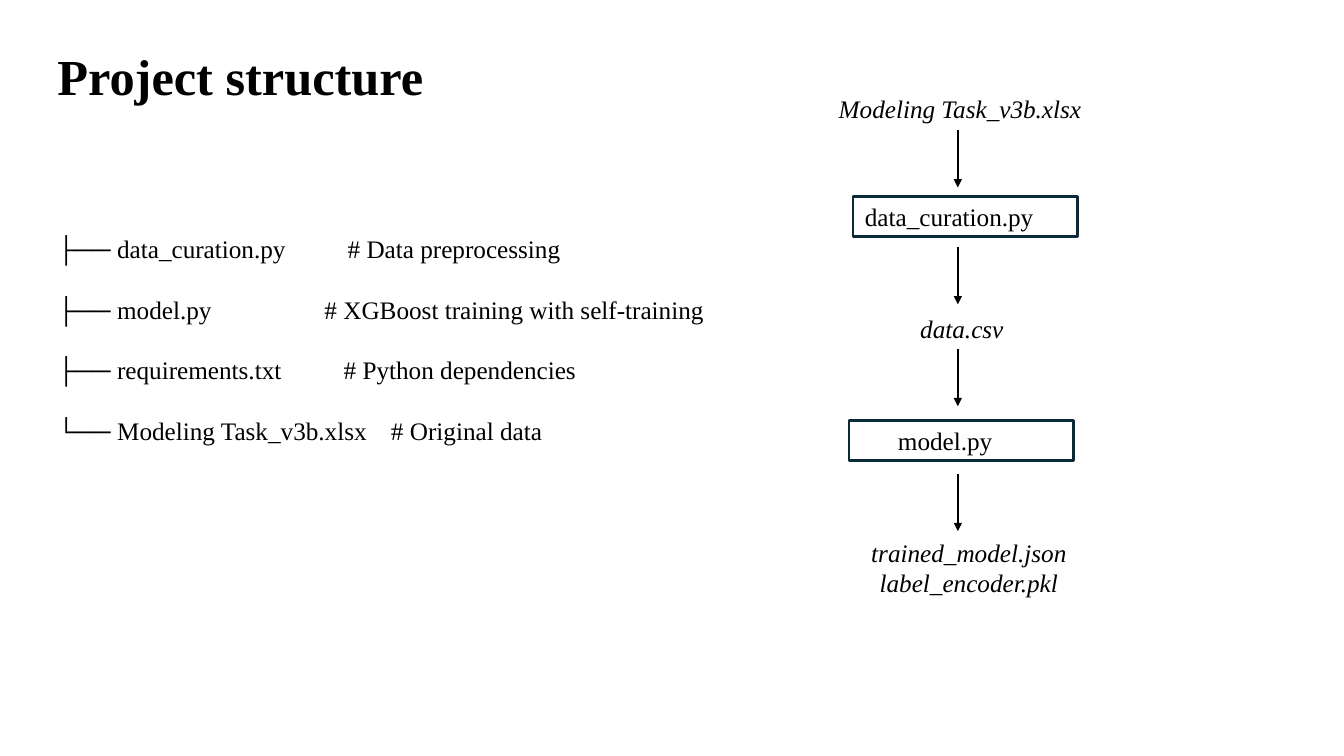
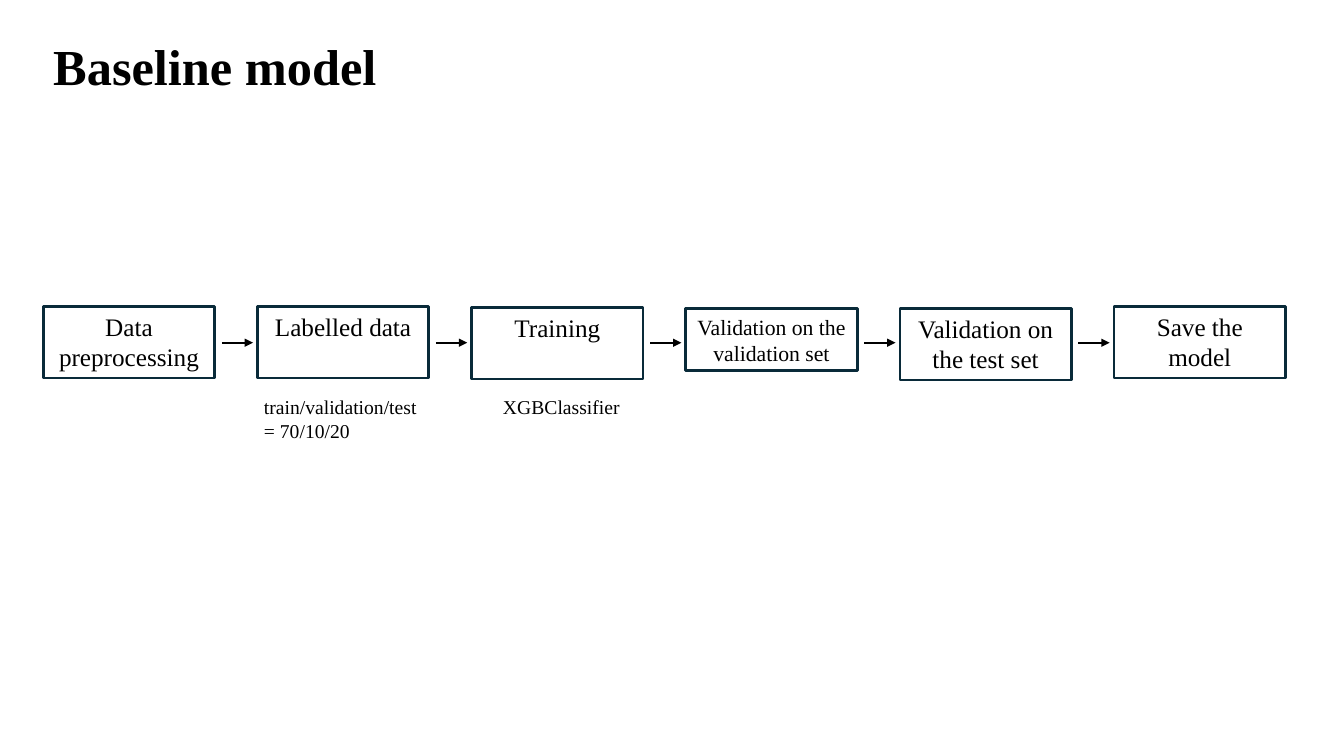
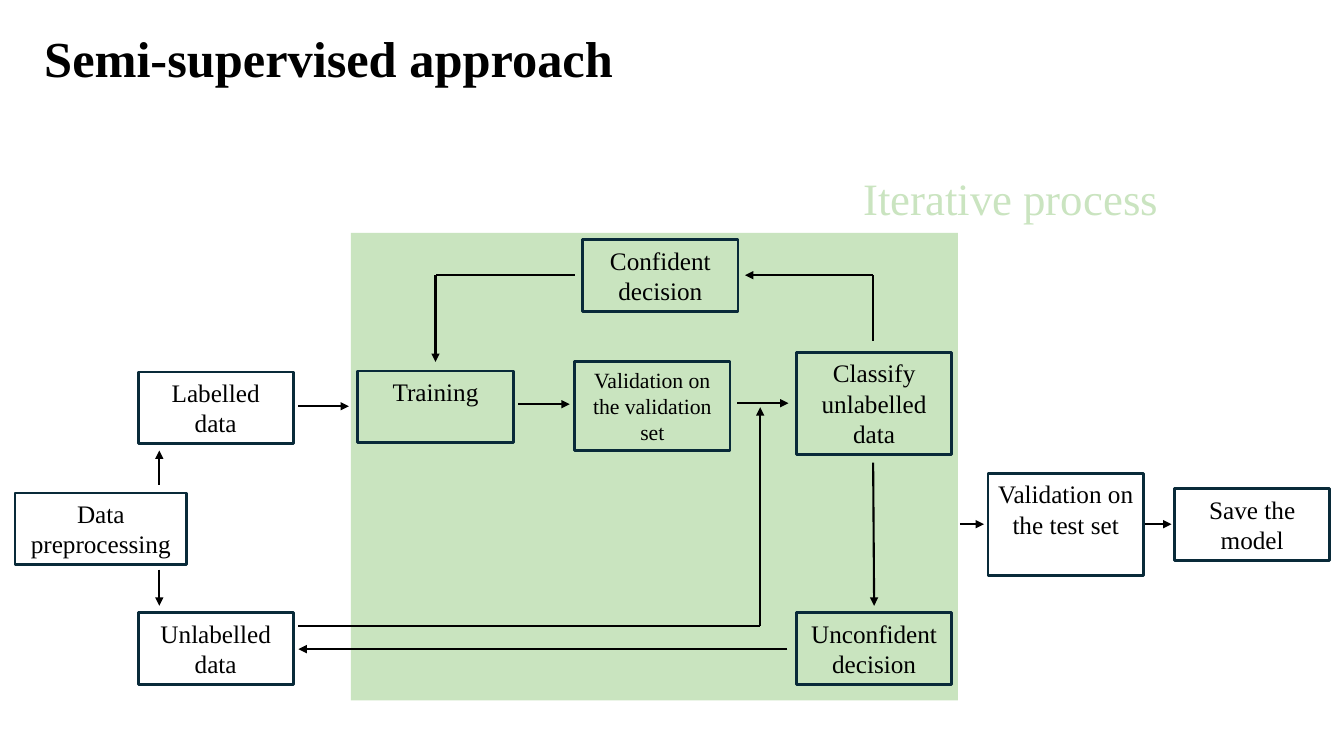
from itertools import pairwise

from lxml import etree
from pptx import Presentation
from pptx.dml.color import RGBColor
from pptx.enum.shapes import MSO_CONNECTOR, MSO_SHAPE
from pptx.enum.text import MSO_ANCHOR, PP_ALIGN
from pptx.oxml.ns import qn
from pptx.util import Inches, Pt

LEFT, CENTER = PP_ALIGN.LEFT, PP_ALIGN.CENTER
TOP = MSO_ANCHOR.TOP
RECTANGLE = MSO_SHAPE.RECTANGLE
STRAIGHT = MSO_CONNECTOR.STRAIGHT

FONT = "Times New Roman"
BLACK, NAVY, GREEN, PALE_GREEN = "000000", "092A39", "4EA72E", "CAE4C0"
GREEN_OPACITY = 30
BODY, SMALL, NOTE = 18, 15.5, 14

# Project structure: (entry, comment, tab stop of the comment)
FILE_TREE = [
    ("├── data_curation.py", "# Data preprocessing", 2.88),
    ("├── model.py", "# XGBoost training with self-training", 2.65),
    ("├── requirements.txt", "# Python dependencies", 2.84),
    ("└── Modeling Task_v3b.xlsx", "# Original data", 3.31),
]
SCRIPTS = [
    ("data_curation.py", (8.46, 1.95, 2.23, 0.4)),
    ("model.py", (8.42, 4.17, 2.23, 0.4)),
]
SCRIPT_INSETS = {"margin_left": 0.05, "margin_right": 0.37}
DATA_FILES = [
    ("Modeling Task_v3b.xlsx", (8.22, 0.88, 2.91, 0.4), LEFT),
    ("data.csv", (8.39, 3.06, 2.3, 0.4), CENTER),
    ("trained_model.json\nlabel_encoder.pkl", (8.46, 5.28, 2.3, 0.71), CENTER),
]
FILE_ARROW_X, FILE_ARROW_LENGTH = 9.5, 0.57
FILE_ARROW_TOPS = [1.29, 2.45, 3.46, 4.7]

# Baseline model: (text, top, height, text size)
BASELINE_STEPS = [
    ("Data preprocessing", 3.04, 0.71, BODY),
    ("Labelled data", 3.04, 0.71, BODY),
    ("Training", 3.05, 0.71, BODY),
    ("Validation on the validation set", 3.06, 0.62, SMALL),
    ("Validation on the test set", 3.06, 0.71, BODY),
    ("Save the model", 3.04, 0.71, BODY),
]
FIRST_STEP, LAST_STEP, STEP_WIDTH = 0.43, 11.05, 1.7
STEP_ARROW_Y, STEP_ARROW_GAP, STEP_ARROW_LENGTH = 3.4, 0.07, 0.31
BASELINE_NOTES = [
    ("train/validation/test = 70/10/20", (2.52, 3.87, 1.77, 0.57)),
    ("XGBClassifier", (4.89, 3.87, 1.49, 0.34)),
]

# Semi-supervised approach: (text, left, top, width, height, text size)
LOOP_AREA = (3.48, 2.31, 6.02, 4.64)
NODE_WIDTH = 1.54
NODES = [
    ("Data preprocessing", 0.15, 4.89, STEP_WIDTH, 0.71, BODY),
    ("Labelled data", 1.37, 3.69, NODE_WIDTH, 0.71, BODY),
    ("Unlabelled data", 1.37, 6.08, NODE_WIDTH, 0.71, BODY),
    ("Training", 3.55, 3.68, NODE_WIDTH, 0.71, BODY),
    ("Classify unlabelled data", 7.9, 3.5, NODE_WIDTH, 1.01, BODY),
    ("Validation on the validation set", 5.7, 3.59, NODE_WIDTH, 0.88, SMALL),
    ("Unconfident decision", 7.9, 6.08, NODE_WIDTH, 0.71, BODY),
    ("Confident decision", 5.78, 2.38, NODE_WIDTH, 0.71, BODY),
    ("Validation on the test set", 9.8, 4.7, NODE_WIDTH, 1.01, BODY),
    ("Save the model", 11.65, 4.85, NODE_WIDTH, 0.71, BODY),
]
ROUTES = [
    [(2.96, 4.03), (3.46, 4.03)],
    [(5.14, 4.01), (5.65, 4.01)],
    [(7.31, 4), (7.82, 4)],
    [(8.66, 4.59), (8.67, 6.01)],
    [(8.66, 3.38), (8.66, 2.73), (7.39, 2.73)],
    [(5.7, 2.73), (4.32, 2.73), (4.32, 3.59)],
    [(7.81, 6.44), (2.96, 6.44)],
    [(1.58, 4.81), (1.58, 4.47)],
    [(1.58, 5.65), (1.58, 6.01)],
    [(9.52, 5.2), (9.76, 5.2)],
    [(11.36, 5.2), (11.62, 5.2)],
    [(2.96, 6.21), (7.54, 6.21), (7.54, 4.04)],
]


def color(value):
    return RGBColor.from_string(value)


def write(frame, text, size=BODY, align=LEFT, ink=BLACK, para_format=None, **font_format):
    """Fill a text frame, one paragraph per line of text."""
    frame.word_wrap = True
    frame.vertical_anchor = TOP
    for index, line in enumerate(text.split("\n")):
        para = frame.add_paragraph() if index else frame.paragraphs[0]
        for name, value in {"alignment": align, **(para_format or {})}.items():
            setattr(para, name, value)
        span = para.add_run()
        span.text = line
        span.font.color.rgb = color(ink)
        for name, value in {"name": FONT, "size": Pt(size), **font_format}.items():
            setattr(span.font, name, value)


def add_text(page, text, place, **text_format):
    box = page.shapes.add_textbox(*map(Inches, place))
    write(box.text_frame, text, **text_format)
    return box


def add_rectangle(page, place):
    box = page.shapes.add_shape(RECTANGLE, *map(Inches, place))
    box.shadow.inherit = False
    return box


def add_step(page, text, place, size=BODY, insets=None):
    box = add_rectangle(page, place)
    box.fill.background()
    box.line.color.rgb = color(NAVY)
    box.line.width = Pt(2)
    for name, value in (insets or {}).items():
        setattr(box.text_frame, name, Inches(value))
    write(box.text_frame, text, size, CENTER)


def add_route(page, points):
    """Draw straight segments through the points, with an arrowhead at the last."""
    for start, end in pairwise(points):
        line = page.shapes.add_connector(STRAIGHT, *map(Inches, start + end))
        line.line.color.rgb = color(BLACK)
        line.line.width = Pt(1.5)
        if end == points[-1]:
            etree.SubElement(line.line._get_or_add_ln(), qn("a:tailEnd"), type="triangle")
        etree.SubElement(line._element.spPr, qn("a:effectLst"))


def add_page(deck, title, place):
    page = deck.slides.add_slide(deck.slide_layouts[6])
    add_text(page, title, place, size=36, bold=True,
             para_format={"line_spacing": 1.07, "space_after": Pt(8)})
    return page


def build_structure(deck):
    page = add_page(deck, "Project structure", (0.47, 0.36, 6.74, 0.72))
    tree_text = "\n".join(f"{entry}\t{comment}" for entry, comment, _ in FILE_TREE)
    tree = add_text(page, tree_text, (0.47, 1.97, 7.16, 2.43), para_format={"line_spacing": 2.0})
    for para, (_, _, stop) in zip(tree.text_frame.paragraphs, FILE_TREE):
        tabs = etree.SubElement(para._p.get_or_add_pPr(), qn("a:tabLst"))
        etree.SubElement(tabs, qn("a:tab"), pos=str(Inches(stop)), algn="l")
    for text, place in SCRIPTS:
        add_step(page, text, place, insets=SCRIPT_INSETS)
    for text, place, align in DATA_FILES:
        add_text(page, text, place, align=align, italic=True)
    for top in FILE_ARROW_TOPS:
        add_route(page, [(FILE_ARROW_X, top), (FILE_ARROW_X, top + FILE_ARROW_LENGTH)])


def build_baseline(deck):
    page = add_page(deck, "Baseline model", (0.43, 0.26, 5.1, 0.72))
    pitch = (LAST_STEP - FIRST_STEP) / (len(BASELINE_STEPS) - 1)
    for index, (text, top, height, size) in enumerate(BASELINE_STEPS):
        left = FIRST_STEP + index * pitch
        add_step(page, text, (left, top, STEP_WIDTH, height), size)
        if index < len(BASELINE_STEPS) - 1:
            start = left + STEP_WIDTH + STEP_ARROW_GAP
            add_route(page, [(start, STEP_ARROW_Y), (start + STEP_ARROW_LENGTH, STEP_ARROW_Y)])
    for text, place in BASELINE_NOTES:
        add_text(page, text, place, size=NOTE)


def build_semi_supervised(deck):
    page = add_page(deck, "Semi-supervised approach", (0.34, 0.18, 6.29, 0.71))
    area = add_rectangle(page, LOOP_AREA)
    area.fill.solid()
    area.fill.fore_color.rgb = color(GREEN)
    area.line.fill.background()
    tint = area._element.spPr.find(".//" + qn("a:srgbClr"))
    etree.SubElement(tint, qn("a:alpha"), val=str(GREEN_OPACITY * 1000))
    for text, *place, size in NODES:
        add_step(page, text, place, size)
    for points in ROUTES:
        add_route(page, points)
    add_text(page, "Iterative process", (7.86, 1.64, 4.33, 0.64),
             size=32, align=CENTER, ink=PALE_GREEN)


def main():
    deck = Presentation()
    deck.slide_width, deck.slide_height = Inches(13.33), Inches(7.5)
    build_structure(deck)
    build_baseline(deck)
    build_semi_supervised(deck)
    deck.save("out.pptx")


if __name__ == "__main__":
    main()
